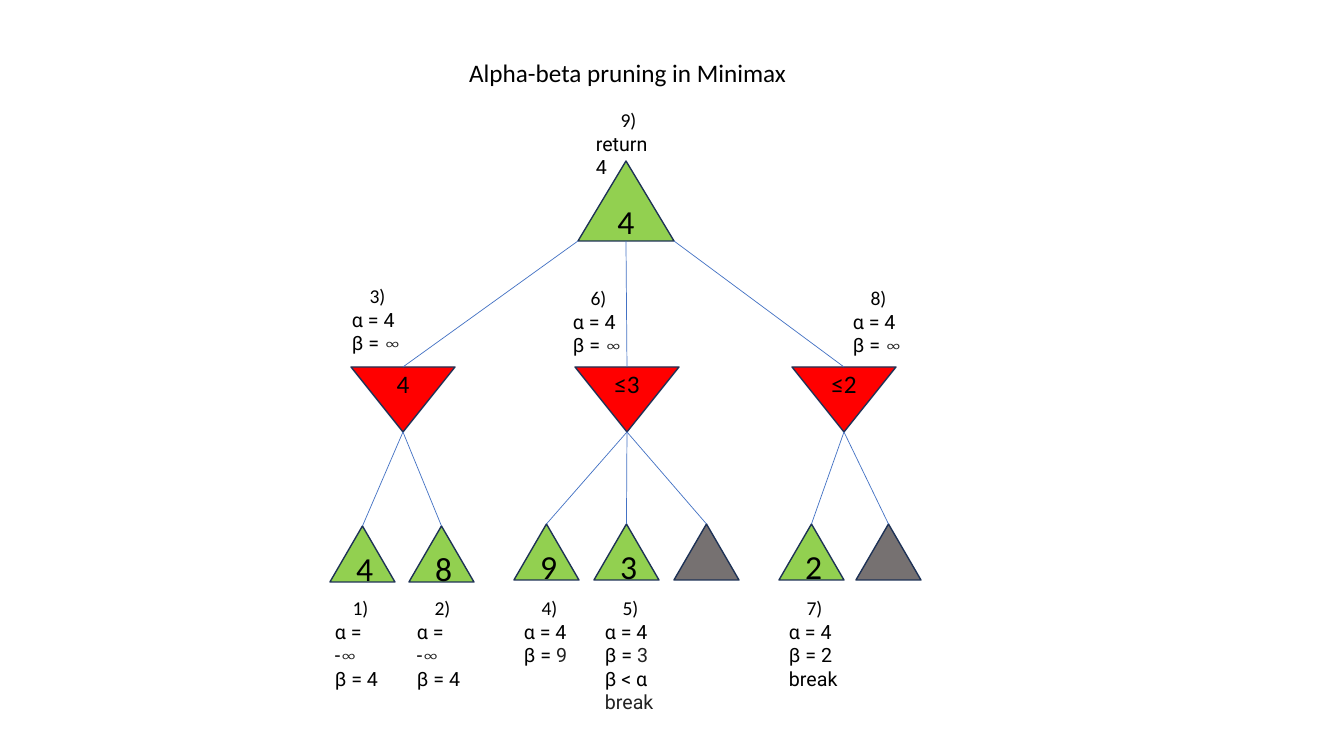
from typing import NamedTuple

from pptx import Presentation
from pptx import util as u
from pptx.dml import color
from pptx.enum import shapes, text
from pptx.oxml import xmlchemy

SCALE = 914400 / 100.8
BLACK, SOFT = "000000", "222222"
GREEN, RED, GREY = "92D050", "FF0000", "767171"
OUTLINE, EDGE = "1E3256", "4472C4"


class Node(NamedTuple):
    left: int
    top: int
    width: int
    height: int
    fill: str
    value: str = ""
    kind: shapes.MSO_SHAPE = shapes.MSO_SHAPE.ISOSCELES_TRIANGLE
    size: int = 24

    @property
    def middle(self) -> float:
        return self.left + self.width / 2

    @property
    def bottom(self) -> int:
        return self.top + self.height


class Span(NamedTuple):
    words: str
    font: str = "Roboto"
    tint: str = BLACK


class Label(NamedTuple):
    step: int
    left: int
    top: int
    height: int
    lines: list[list[Span]]
    width: int = 71


def px(length: float) -> u.Emu:
    return u.Emu(round(length * SCALE))


def rgb(value: str) -> color.RGBColor:
    return color.RGBColor.from_string(value)


def add_span(para, span: Span, size: int) -> None:
    run = para.add_run()
    run.text = span.words
    run.font.name = span.font
    run.font.size = u.Pt(size)
    run.font.color.rgb = rgb(span.tint)


def draw_node(page, node: Node) -> None:
    shape = page.shapes.add_shape(
        node.kind, px(node.left), px(node.top), px(node.width), px(node.height))
    shape.shadow.inherit = False
    shape.fill.solid()
    shape.fill.fore_color.rgb = rgb(node.fill)
    shape.line.color.rgb = rgb(OUTLINE)
    shape.line.width = u.Pt(1)
    frame = shape.text_frame
    frame.vertical_anchor = text.MSO_ANCHOR.MIDDLE
    if node.value:
        para = frame.paragraphs[0]
        para.alignment = text.PP_ALIGN.CENTER
        add_span(para, Span(node.value, "Calibri"), node.size)


def draw_edge(page, start_x: float, parent: Node, child: Node) -> None:
    edge = page.shapes.add_connector(
        shapes.MSO_CONNECTOR.STRAIGHT,
        px(start_x), px(parent.bottom), px(child.middle), px(child.top))
    edge.line.color.rgb = rgb(EDGE)
    edge.line.width = u.Pt(0.5)
    properties = edge._element.spPr
    properties.append(xmlchemy.OxmlElement("a:effectLst"))


def draw_label(page, label: Label) -> None:
    box = page.shapes.add_textbox(
        px(label.left), px(label.top), px(label.width), px(label.height))
    frame = box.text_frame
    frame.word_wrap = True
    frame.auto_size = text.MSO_AUTO_SIZE.SHAPE_TO_FIT_TEXT
    heading = frame.paragraphs[0]
    heading.alignment = text.PP_ALIGN.CENTER
    add_span(heading, Span(f"{label.step})", "Calibri"), 14)
    for line in label.lines:
        para = frame.add_paragraph()
        for span in line:
            add_span(para, span, 14)


def draw_title(page, words: str) -> None:
    title = page.shapes.title
    title.left, title.top, title.width, title.height = map(px, (459, 52, 365, 40))
    frame = title.text_frame
    frame.word_wrap = True
    frame.auto_size = text.MSO_AUTO_SIZE.NONE
    frame.vertical_anchor = text.MSO_ANCHOR.TOP
    para = frame.paragraphs[0]
    para.alignment = text.PP_ALIGN.LEFT
    add_span(para, Span(words, "Calibri"), 18)


def minimum(left: int, value: str) -> Node:
    return Node(left, 367, 104, 65, RED, value, shapes.MSO_SHAPE.FLOWCHART_MERGE, 18)


def leaf(left: int, top: int, value: str = "") -> Node:
    return Node(left, top, 65, 56, GREEN if value else GREY, value)


INFINITY = Span("∞", "Cambria", SOFT)
ALPHA = [Span("α = 4")]
ALPHA_START = [Span("α = -"), INFINITY]
BETA = Span("β = ")
BETA_OPEN = [BETA, INFINITY]

ROOT = Node(578, 161, 96, 80, GREEN, "4")
BRANCHES = [
    (minimum(351, "4"), [leaf(330, 526, "4"), leaf(409, 526, "8")]),
    (minimum(575, "≤3"), [leaf(514, 524, "9"), leaf(594, 524, "3"), leaf(674, 524)]),
    (minimum(792, "≤2"), [leaf(779, 524, "2"), leaf(856, 524)]),
]
LABELS = [
    Label(1, 325, 591, 82, [ALPHA_START, [Span("β = 4")]]),
    Label(2, 407, 591, 82, [ALPHA_START, [Span("β = 4")]]),
    Label(3, 342, 279, 82, [ALPHA, BETA_OPEN]),
    Label(4, 514, 591, 82, [ALPHA, [BETA, Span("9", tint=SOFT)]]),
    Label(5, 595, 591, 129, [ALPHA, [BETA, Span("3", tint=SOFT)],
                             [Span("β < α")], [Span("break", tint=SOFT)]]),
    Label(6, 563, 281, 82, [ALPHA, BETA_OPEN]),
    Label(7, 779, 591, 105, [ALPHA, [Span("β = 2")], [Span("break")]]),
    Label(8, 843, 281, 82, [ALPHA, BETA_OPEN]),
    Label(9, 586, 103, 57, [[Span("return 4")]], 85),
]

deck = Presentation()
deck.slide_width, deck.slide_height = px(1344), px(756)
page = deck.slides.add_slide(deck.slide_layouts[5])
draw_title(page, "Alpha-beta pruning in Minimax")
draw_node(page, ROOT)
for index, (branch, leaves) in enumerate(BRANCHES):
    draw_node(page, branch)
    draw_edge(page, ROOT.left + index * ROOT.width / 2, ROOT, branch)
    for child in leaves:
        draw_node(page, child)
        draw_edge(page, branch.middle, branch, child)
for label in LABELS:
    draw_label(page, label)
deck.save("out.pptx")
